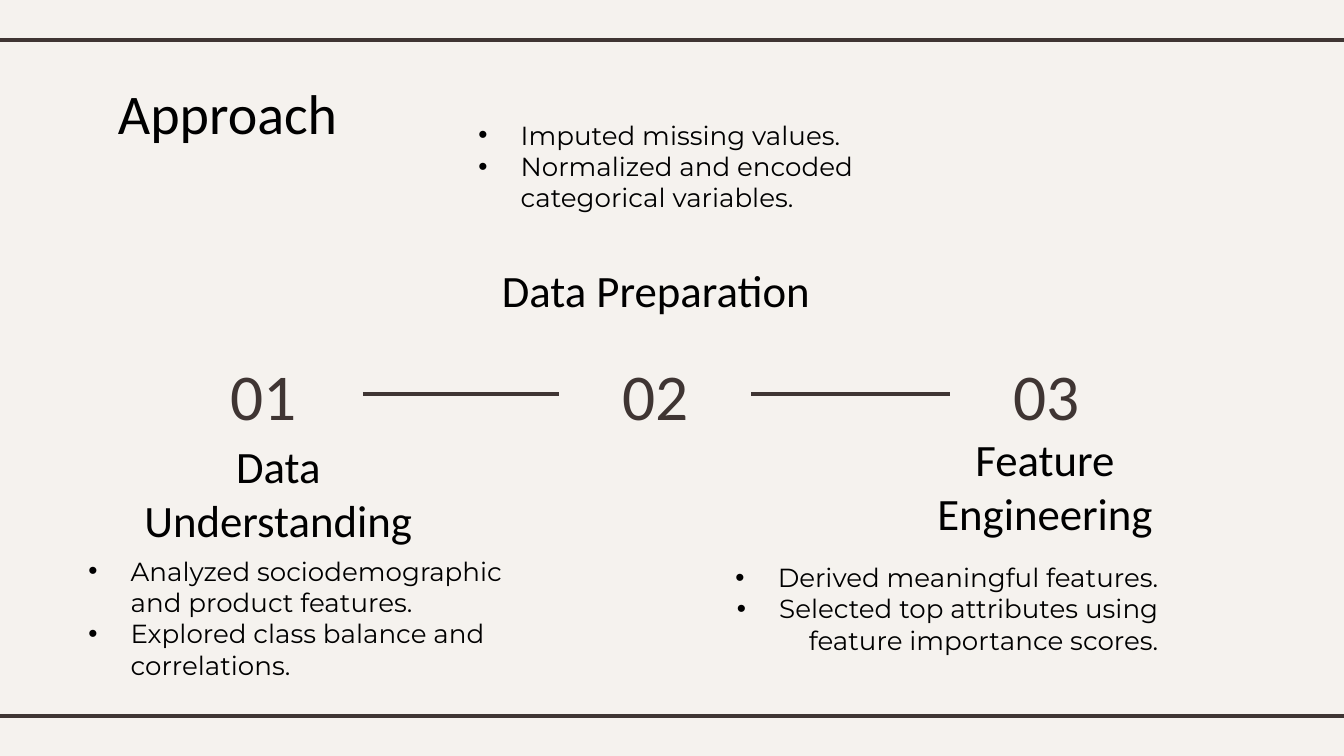
from lxml.etree import SubElement
from pptx import Presentation
from pptx.dml.color import RGBColor
from pptx.enum.shapes import MSO_CONNECTOR
from pptx.enum.text import MSO_ANCHOR, MSO_AUTO_SIZE, PP_ALIGN
from pptx.oxml.ns import qn
from pptx.util import Cm, Pt

COLORS = {"background": "F5F2EE", "accent": "3F3533", "text": "000000"}
HEADING_FONT = "Calibri"
BODY_FONT = "Montserrat"
LEFT_SITE, RIGHT_SITE = 1, 3


def color(name):
    return RGBColor.from_string(COLORS[name])


def add_run(paragraph, text, size, font_name, color_name="text"):
    run = paragraph.add_run()
    run.text = text
    run.font.size = Pt(size)
    run.font.name = font_name
    run.font.color.rgb = color(color_name)


def format_frame(shape, anchor):
    frame = shape.text_frame
    frame.word_wrap = True
    frame.auto_size = MSO_AUTO_SIZE.NONE
    frame.vertical_anchor = anchor
    frame.margin_left = frame.margin_right = Cm(0.25)
    frame.margin_top = frame.margin_bottom = Cm(0.25)
    return frame


def add_frame(slide, box, anchor):
    shape = slide.shapes.add_textbox(*map(Cm, box))
    format_frame(shape, anchor)
    return shape


def set_title(slide, text, box):
    title = slide.shapes.title
    title.left, title.top, title.width, title.height = map(Cm, box)
    paragraph = format_frame(title, MSO_ANCHOR.TOP).paragraphs[0]
    paragraph.alignment = PP_ALIGN.LEFT
    add_run(paragraph, text, 30, HEADING_FONT)


def add_label(slide, text, box, size=24, color_name="text"):
    shape = add_frame(slide, box, MSO_ANCHOR.MIDDLE)
    paragraph = shape.text_frame.paragraphs[0]
    paragraph.alignment = PP_ALIGN.CENTER
    add_run(paragraph, text, size, HEADING_FONT, color_name)
    return shape


def set_bullet(paragraph):
    properties = paragraph._p.get_or_add_pPr()
    properties.set("marL", str(Cm(0.8)))
    properties.set("indent", str(Cm(-0.8)))
    bullet_color = SubElement(properties, qn("a:buClr"))
    SubElement(bullet_color, qn("a:srgbClr"), val=COLORS["text"])
    SubElement(properties, qn("a:buFont"), typeface="Arial")
    SubElement(properties, qn("a:buChar"), char="•")


def add_bullets(slide, items, box, alignment=PP_ALIGN.LEFT):
    frame = add_frame(slide, box, MSO_ANCHOR.TOP).text_frame
    for index, item in enumerate(items):
        paragraph = frame.add_paragraph() if index else frame.paragraphs[0]
        paragraph.alignment = alignment
        set_bullet(paragraph)
        add_run(paragraph, item, 14, BODY_FONT)


def add_line(slide, start=(0, 0), end=(0, 0)):
    line = slide.shapes.add_connector(
        MSO_CONNECTOR.STRAIGHT, *map(Cm, start), *map(Cm, end))
    line.line.color.rgb = color("accent")
    line.line.width = Pt(2.25)
    SubElement(line._element.spPr, qn("a:effectLst"))
    return line


def add_timeline(slide):
    columns = [("01", 3.12, 3.74), ("02", 10.57, 3.63), ("03", 17.96, 3.63)]
    numbers = [add_label(slide, text, (left, 6.53, width, 1.85), 35, "accent")
               for text, left, width in columns]
    for before, after in zip(numbers, numbers[1:]):
        line = add_line(slide)
        line.begin_connect(before, RIGHT_SITE)
        line.end_connect(after, LEFT_SITE)


def main():
    presentation = Presentation()
    presentation.slide_width = Cm(25.4)
    presentation.slide_height = Cm(14.29)
    slide = presentation.slides.add_slide(presentation.slide_layouts[5])
    slide.background.fill.solid()
    slide.background.fill.fore_color.rgb = color("background")

    for top in (0.76, 13.54):
        add_line(slide, (-0.2, top), (25.6, top))
    set_title(slide, "Approach", (1.98, 1.24, 21.44, 1.6))
    add_timeline(slide)

    add_label(slide, "Data Understanding", (1.96, 8.81, 6.6, 0.99))
    add_bullets(slide, ["Analyzed sociodemographic and product features.",
                        "Explored class balance and correlations."],
                (1.42, 10.24, 8.41, 2.64))

    add_label(slide, "Data Preparation ", (9.22, 4.93, 6.35, 1.09))
    add_bullets(slide, ["Imputed missing values.",
                        "Normalized and encoded categorical variables."],
                (8.79, 2, 7.65, 2))

    add_label(slide, "Feature Engineering", (16.84, 8.51, 5.82, 1.35))
    add_bullets(slide, ["Derived meaningful features.",
                        "Selected top attributes using feature importance scores."],
                (12.7, 10.36, 9.45, 1.98), PP_ALIGN.RIGHT)

    presentation.save("out.pptx")


if __name__ == "__main__":
    main()
